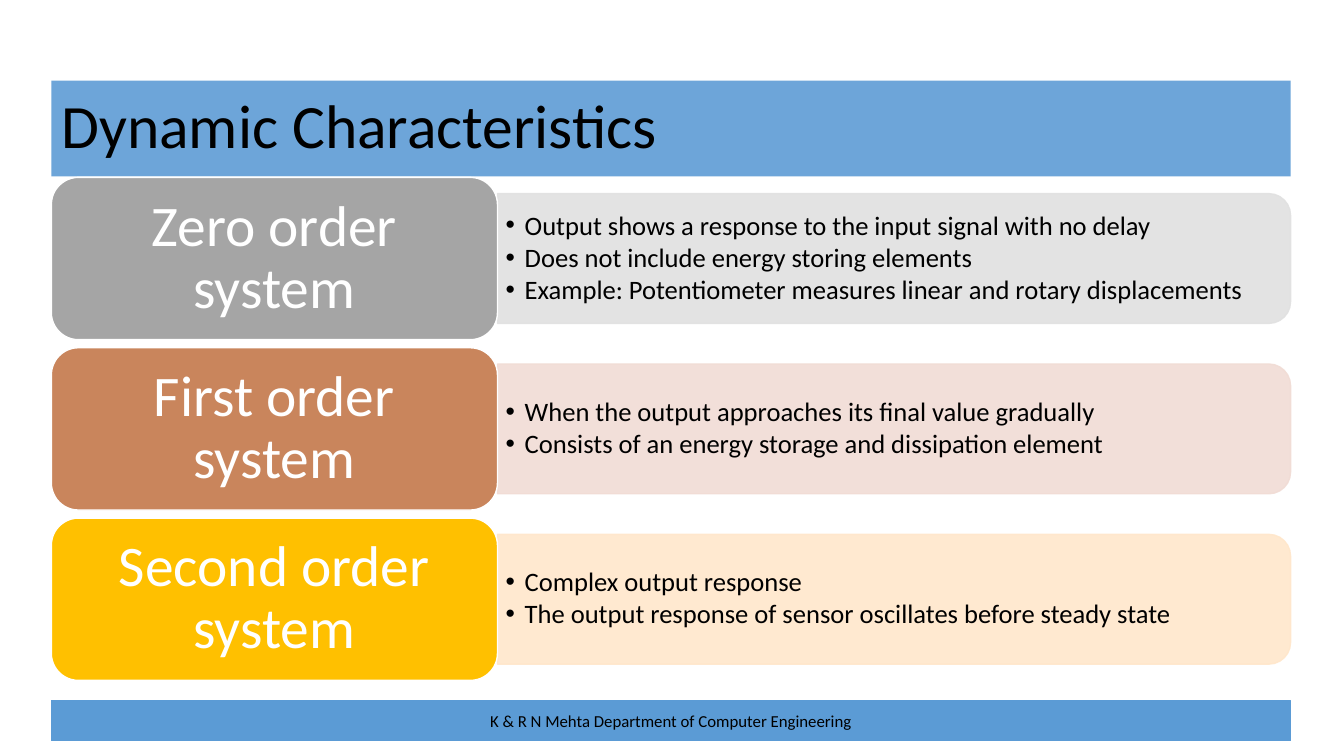
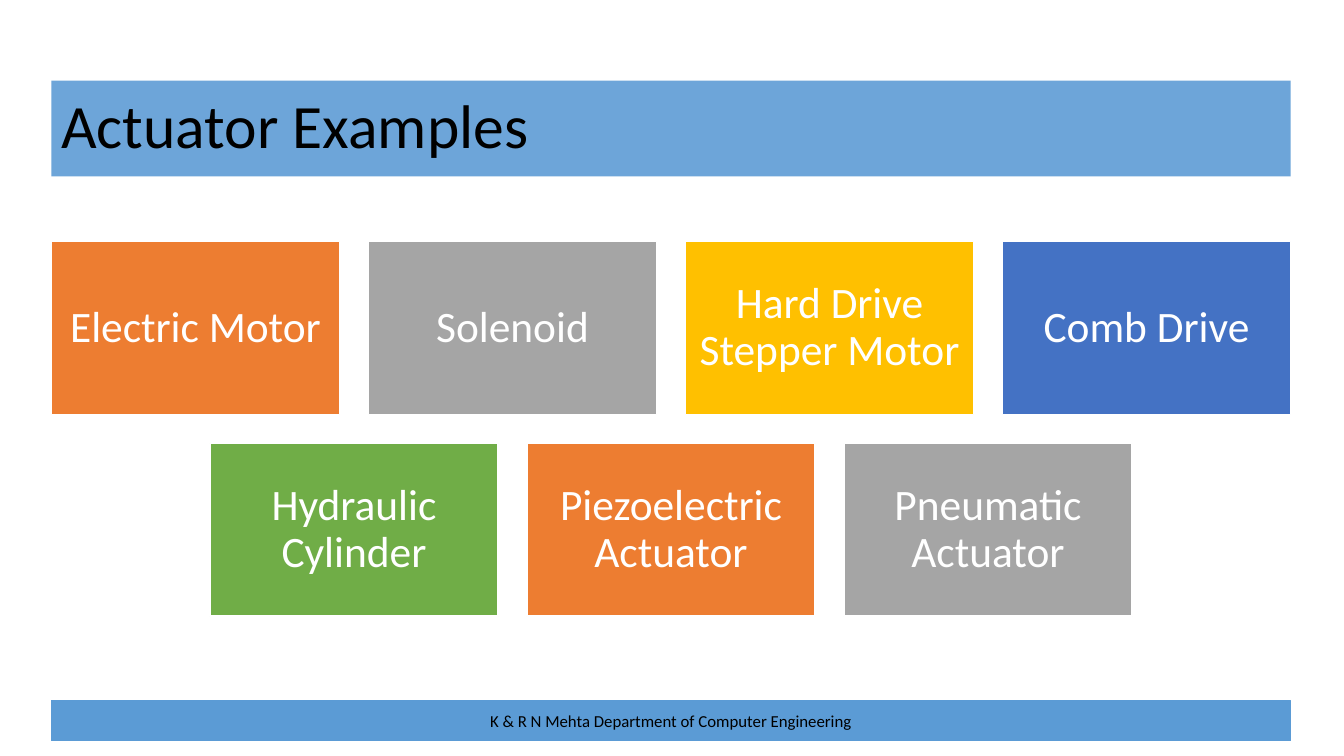
from collections import namedtuple

from pptx import Presentation
from pptx.dml.color import RGBColor
from pptx.enum.shapes import MSO_SHAPE as SHAPE
from pptx.enum.text import MSO_ANCHOR as ANCHOR, PP_ALIGN as ALIGN
from pptx.oxml.ns import qn
from pptx.util import Inches, Pt

FONT = "Calibri"
BLACK = RGBColor(0x00, 0x00, 0x00)
WHITE = RGBColor(0xFF, 0xFF, 0xFF)
SKY = RGBColor(0x5B, 0x9B, 0xD5)
ORANGE = RGBColor(0xED, 0x7D, 0x31)
GRAY = RGBColor(0xA5, 0xA5, 0xA5)
GOLD = RGBColor(0xFF, 0xC0, 0x00)
BLUE = RGBColor(0x44, 0x72, 0xC4)
GREEN = RGBColor(0x70, 0xAD, 0x47)
COPPER = RGBColor(0xC9, 0x85, 0x5C)
PALE_GRAY = RGBColor(0xE1, 0xE1, 0xE1)
PALE_COPPER = RGBColor(0xF1, 0xDC, 0xD5)
PALE_GOLD = RGBColor(0xFF, 0xE7, 0xCB)

Box = namedtuple("Box", "x y w h")
TITLE_BAND = Box(0.51, 0.8, 12.29, 0.95)
BODY = Box(0.51, 1.76, 12.29, 4.99)
FOOTER_BAND = Box(0.51, 6.95, 12.29, 0.4)
FOOTER = "K & R N Mehta Department of Computer Engineering"

SYSTEMS = [
    ("Zero order system", GRAY, PALE_GRAY, [
        "Output shows a response to the input signal with no delay",
        "Does not include energy storing elements",
        "Example: Potentiometer measures linear and rotary displacements",
    ]),
    ("First order system", COPPER, PALE_COPPER, [
        "When the output approaches its final value gradually",
        "Consists of an energy storage and dissipation element",
    ]),
    ("Second order system", GOLD, PALE_GOLD, [
        "Complex output response",
        "The output response of sensor oscillates before steady state",
    ]),
]
ACTUATOR_ROWS = [
    [("Electric Motor", ORANGE), ("Solenoid", GRAY),
     ("Hard Drive Stepper Motor", GOLD), ("Comb Drive", BLUE)],
    [("Hydraulic Cylinder", GREEN), ("Piezoelectric Actuator", ORANGE),
     ("Pneumatic Actuator", GRAY)],
]


def add_block(slide, kind, box, fill, line=None, width=1, opacity=100):
    sp = slide.shapes.add_shape(kind, *map(Inches, box))
    sp.shadow.inherit = False
    sp.fill.solid()
    sp.fill.fore_color.rgb = fill
    if line is None:
        sp.line.fill.background()
    else:
        sp.line.color.rgb = line
        sp.line.width = Pt(width)
    if opacity < 100:
        for color in sp.element.iter(qn("a:srgbClr")):
            alpha = color.makeelement(qn("a:alpha"), {"val": str(opacity * 1000)})
            color.append(alpha)
    return sp


def write(sp, lines, size, color, align=ALIGN.LEFT, insets=(0.1, 0.05),
          spacing=0.9, after=0, bullets=False):
    """Fill a shape with one paragraph a line; insets are (sides, top and bottom)."""
    tf = sp.text_frame
    tf.word_wrap = True
    tf.vertical_anchor = ANCHOR.MIDDLE
    tf.margin_left = tf.margin_right = Inches(insets[0])
    tf.margin_top = tf.margin_bottom = Inches(insets[1])
    for i, line in enumerate(lines):
        p = tf.paragraphs[0] if i == 0 else tf.add_paragraph()
        p.alignment = align
        p.line_spacing = spacing
        p.space_after = Pt(after)
        if bullets:
            add_bullet(p, Inches(0.19))
        r = p.add_run()
        r.text = line
        r.font.name = FONT
        r.font.size = Pt(size)
        r.font.color.rgb = color


def add_bullet(p, indent):
    pPr = p._p.get_or_add_pPr()
    pPr.set("marL", str(indent))
    pPr.set("indent", str(-indent))
    for tag, key, value in (("a:buFont", "typeface", "Arial"),
                            ("a:buChar", "char", "•")):
        pPr.append(pPr.makeelement(qn(tag), {key: value}))


def add_framed_slide(prs, title):
    """Add a slide with its title band and footer band."""
    slide = prs.slides.add_slide(prs.slide_layouts[6])
    footer = add_block(slide, SHAPE.RECTANGLE, FOOTER_BAND, SKY, SKY, 0.75)
    write(footer, [FOOTER], 12, BLACK, ALIGN.CENTER, spacing=1.0)
    band = add_block(slide, SHAPE.RECTANGLE, TITLE_BAND, SKY, opacity=89)
    write(band, [title], 44, BLACK)
    return slide


def add_system_row(slide, box, label, color, pale, points):
    label_w = box.w * 0.36
    panel = Box(box.x + label_w, box.y + box.h * 0.1, box.w - label_w, box.h * 0.8)
    # The panel stands upright and is turned so its round corners face right.
    upright = Box(panel.x + (panel.w - panel.h) / 2,
                  panel.y + (panel.h - panel.w) / 2, panel.h, panel.w)
    sp = add_block(slide, SHAPE.ROUND_2_SAME_RECTANGLE, upright, pale, pale, opacity=90)
    sp.rotation = 90
    text = slide.shapes.add_textbox(*map(Inches, panel))
    write(text, points, 19, BLACK, insets=(0.08, 0.04), after=2.4, bullets=True)
    tab = add_block(slide, SHAPE.ROUNDED_RECTANGLE,
                    Box(box.x, box.y, label_w, box.h), color, WHITE)
    write(tab, [label], 41, WHITE, ALIGN.CENTER, (0.17, 0.09))


def add_system_list(slide, box, systems):
    n = len(systems)
    row_h = box.h / (n + 0.05 * (n - 1))
    for i, system in enumerate(systems):
        add_system_row(slide, Box(box.x, box.y + i * row_h * 1.05, box.w, row_h), *system)


def add_tile_grid(slide, box, rows):
    """Centre rows of equal tiles in the box, with gaps a tenth of a tile wide."""
    cols = max(map(len, rows))
    w = box.w / (cols + 0.1 * (cols - 1))
    h, gap = w * 0.6, w * 0.1
    top = box.y + (box.h - len(rows) * (h + gap) + gap) / 2
    for i, row in enumerate(rows):
        left = box.x + (box.w - len(row) * (w + gap) + gap) / 2
        for j, (name, color) in enumerate(row):
            tile = Box(left + j * (w + gap), top + i * (h + gap), w, h)
            sp = add_block(slide, SHAPE.RECTANGLE, tile, color, WHITE)
            write(sp, [name], 31, WHITE, ALIGN.CENTER, (0.13, 0.13))


def main():
    prs = Presentation()
    prs.slide_width, prs.slide_height = Inches(13.33), Inches(7.5)
    add_system_list(add_framed_slide(prs, "Dynamic Characteristics"), BODY, SYSTEMS)
    add_tile_grid(add_framed_slide(prs, "Actuator Examples"), BODY, ACTUATOR_ROWS)
    prs.save("out.pptx")


if __name__ == "__main__":
    main()
